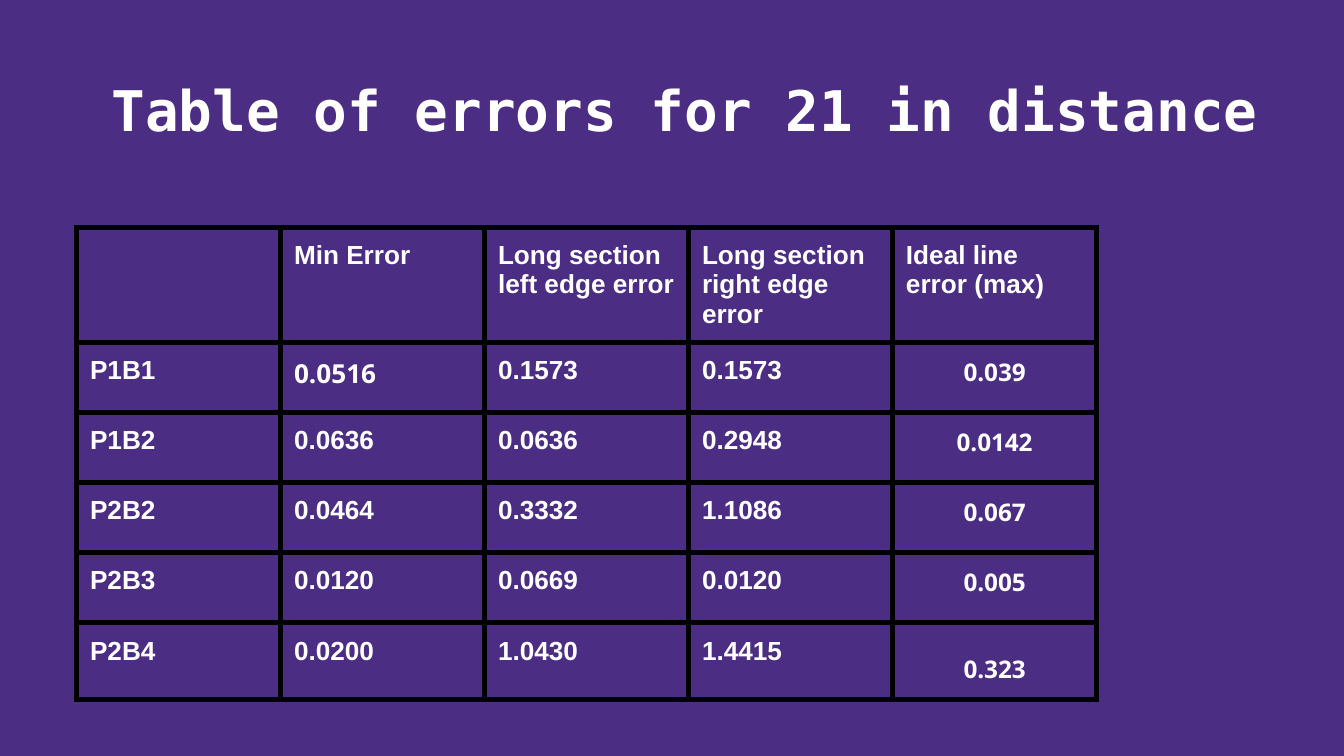
from dataclasses import dataclass

from lxml import etree
from pptx import Presentation
from pptx.dml.color import RGBColor
from pptx.enum.text import MSO_ANCHOR, MSO_AUTO_SIZE, PP_ALIGN
from pptx.oxml.ns import qn
from pptx.util import Inches, Pt

BOTTOM, TOP = MSO_ANCHOR.BOTTOM, MSO_ANCHOR.TOP
NO_AUTOFIT = MSO_AUTO_SIZE.NONE
LEFT, CENTER = PP_ALIGN.LEFT, PP_ALIGN.CENTER

TITLE_ONLY_LAYOUT = 5
SLIDE_WIDTH = Inches(10)
SLIDE_HEIGHT = SLIDE_WIDTH * 9 // 16
BACKGROUND, WHITE, BLACK = "4B2E83", "FFFFFF", "000000"

TABLE_LEFT, TABLE_TOP = Inches(0.57), Inches(1.69)
COLUMN_WIDTH = Pt(109.3)
HEADER_HEIGHT, ROW_HEIGHT = Inches(0.84), Pt(37.6)
CELL_MARGIN = Inches(0.1)
BORDER_WIDTH = Pt(3)

ERROR_ROWS = [
    ["", "Min Error", "Long section left edge error",
     "Long section right edge error", "Ideal line error (max)"],
    ["P1B1", "0.0516", "0.1573", "0.1573", "0.039"],
    ["P1B2", "0.0636", "0.0636", "0.2948", "0.0142"],
    ["P2B2", "0.0464", "0.3332", "1.1086", "0.067"],
    ["P2B3", "0.0120", "0.0669", "0.0120", "0.005"],
    ["P2B4", "0.0200", "1.0430", "1.4415", "0.323"],
]


@dataclass(frozen=True)
class TextStyle:
    font: str
    size: float
    alignment: PP_ALIGN = LEFT
    line_spacing: float = 1.0


TITLE_STYLE = TextStyle("DejaVu Sans Mono", 30)
CELL_STYLE = TextStyle("Arial", 14)
FIRST_ERROR_STYLE = TextStyle("Open Sans", 14)
IDEAL_STYLE = TextStyle("Open Sans", 13, CENTER)
LAST_IDEAL_STYLE = TextStyle("Open Sans", 13, CENTER, 1.51)


def color(value: str) -> RGBColor:
    return RGBColor.from_string(value)


def write_text(text_frame, text: str, style: TextStyle) -> None:
    text_frame.text = text
    paragraph = text_frame.paragraphs[0]
    paragraph.alignment = style.alignment
    paragraph.line_spacing = style.line_spacing
    for run in paragraph.runs:
        run.font.name = style.font
        run.font.size = Pt(style.size)
        run.font.bold = True
        run.font.color.rgb = color(WHITE)


def cell_style(row: int, column: int) -> TextStyle:
    """Give the ideal line values, and the first error, their own styles."""
    if row > 0 and column == len(ERROR_ROWS[0]) - 1:
        return LAST_IDEAL_STYLE if row == len(ERROR_ROWS) - 1 else IDEAL_STYLE
    return FIRST_ERROR_STYLE if (row, column) == (1, 1) else CELL_STYLE


def add_borders(cell) -> None:
    properties = cell._tc.get_or_add_tcPr()
    for position, side in enumerate(("a:lnL", "a:lnR", "a:lnT", "a:lnB")):
        line = etree.Element(qn(side), w=str(BORDER_WIDTH))
        fill = etree.SubElement(line, qn("a:solidFill"))
        etree.SubElement(fill, qn("a:srgbClr"), val=BLACK)
        properties.insert(position, line)


def add_title(slide) -> None:
    title = slide.shapes.title
    title.left, title.top = Inches(0.73), Inches(0.3)
    title.width, title.height = Inches(8.82), Inches(0.81)
    text_frame = title.text_frame
    text_frame.auto_size = NO_AUTOFIT
    text_frame.word_wrap = True
    text_frame.vertical_anchor = BOTTOM
    write_text(text_frame, "Table of errors for 21 in distance", TITLE_STYLE)


def add_error_table(slide) -> None:
    row_count, column_count = len(ERROR_ROWS), len(ERROR_ROWS[0])
    table = slide.shapes.add_table(
        row_count, column_count, TABLE_LEFT, TABLE_TOP,
        COLUMN_WIDTH * column_count,
        HEADER_HEIGHT + ROW_HEIGHT * (row_count - 1)).table
    table.first_row = table.horz_banding = False
    for column in table.columns:
        column.width = COLUMN_WIDTH
    for row_index, values in enumerate(ERROR_ROWS):
        table.rows[row_index].height = ROW_HEIGHT if row_index else HEADER_HEIGHT
        for column_index, value in enumerate(values):
            cell = table.cell(row_index, column_index)
            cell.margin_left = cell.margin_right = CELL_MARGIN
            cell.margin_top = cell.margin_bottom = CELL_MARGIN
            cell.vertical_anchor = TOP
            cell.fill.background()
            add_borders(cell)
            write_text(cell.text_frame, value, cell_style(row_index, column_index))


def main() -> None:
    presentation = Presentation()
    presentation.slide_width, presentation.slide_height = SLIDE_WIDTH, SLIDE_HEIGHT
    slide = presentation.slides.add_slide(
        presentation.slide_layouts[TITLE_ONLY_LAYOUT])
    slide.background.fill.solid()
    slide.background.fill.fore_color.rgb = color(BACKGROUND)
    add_title(slide)
    add_error_table(slide)
    presentation.save("out.pptx")


if __name__ == "__main__":
    main()
